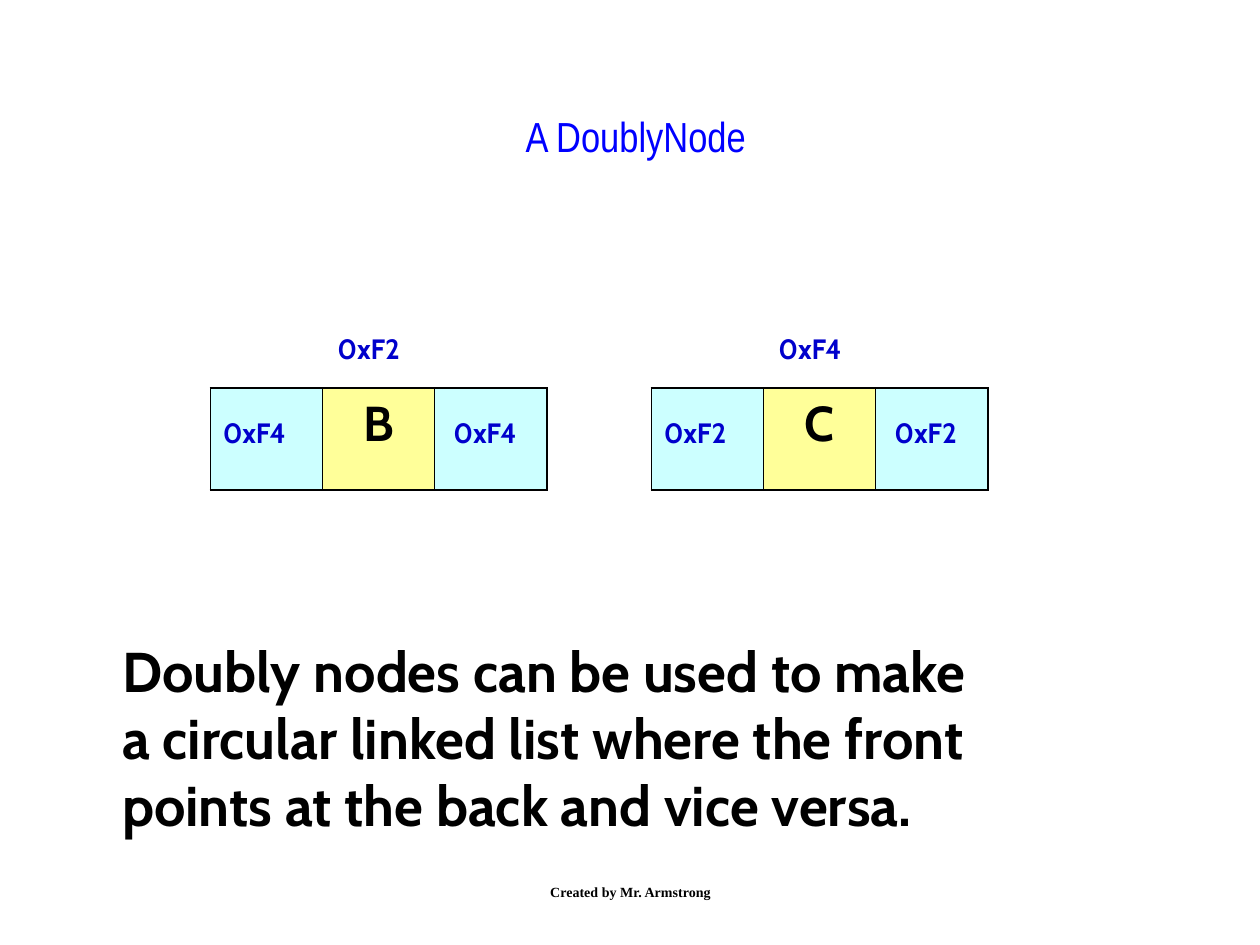
from dataclasses import dataclass

from lxml import etree
from pptx import Presentation
from pptx.dml.color import RGBColor
from pptx.enum.text import MSO_ANCHOR, MSO_AUTO_SIZE, PP_ALIGN
from pptx.oxml.ns import qn
from pptx.util import Inches, Pt

LEFT, CENTER = PP_ALIGN.LEFT, PP_ALIGN.CENTER
TOP, MIDDLE = MSO_ANCHOR.TOP, MSO_ANCHOR.MIDDLE
NO_FIT = MSO_AUTO_SIZE.NONE
TITLE_ONLY = 5


@dataclass(frozen=True)
class Style:
    font: str
    size: float
    color: str
    bold: bool = True


@dataclass(frozen=True)
class Theme:
    title: Style = Style("Arial Narrow", 24, "0000FF", False)
    address: Style = Style("Cabin", 16, "0000CC")
    value: Style = Style("Cabin", 28, "000000")
    body: Style = Style("Cabin", 32, "000000")
    footer: Style = Style("Times New Roman", 8, "000000")
    link_fill: str = "CCFFFF"
    value_fill: str = "FFFF99"
    border: str = "000000"
    outer_line: float = 1.08
    inner_line: float = 0.45


THEME = Theme()


def format_paragraph(p, style, align):
    p.alignment = align
    p.font.name = style.font
    p.font.size = Pt(style.size)
    p.font.bold = style.bold
    p.font.color.rgb = RGBColor.from_string(style.color)


def fill_text(tf, lines, style, align=LEFT, anchor=TOP):
    tf.word_wrap = True
    tf.auto_size = NO_FIT
    tf.vertical_anchor = anchor
    tf.text = "\n".join(lines)
    for p in tf.paragraphs:
        format_paragraph(p, style, align)


def add_text(slide, box, lines, style, **layout):
    sp = slide.shapes.add_textbox(*map(Inches, box))
    fill_text(sp.text_frame, lines, style, **layout)


def set_title(slide, box, text):
    sp = slide.shapes.title
    sp.left, sp.top, sp.width, sp.height = map(Inches, box)
    fill_text(sp.text_frame, [text], THEME.title, align=CENTER)


def set_border(cell, widths):
    tcPr = cell._tc.get_or_add_tcPr()
    for i, (side, width) in enumerate(widths.items()):
        ln = etree.Element(qn(f"a:ln{side}"), w=str(Pt(width)))
        fill = etree.SubElement(ln, qn("a:solidFill"))
        etree.SubElement(fill, qn("a:srgbClr"), val=THEME.border)
        tcPr.insert(i, ln)


def add_node(slide, box, address, value, link):
    left, top, width, height = box
    label_w, label_h = 1.08, 0.37
    table = slide.shapes.add_table(1, 3, *map(Inches, box)).table
    table.first_row = table.horz_banding = False
    fills = (THEME.link_fill, THEME.value_fill, THEME.link_fill)
    outer, inner = THEME.outer_line, THEME.inner_line
    for i, color in enumerate(fills):
        cell = table.cell(0, i)
        cell.fill.solid()
        cell.fill.fore_color.rgb = RGBColor.from_string(color)
        set_border(cell, {"L": outer if i == 0 else inner,
                          "R": outer if i == 2 else inner,
                          "T": outer, "B": outer})
    middle = table.cell(0, 1)
    middle.text = value
    format_paragraph(middle.text_frame.paragraphs[0], THEME.value, CENTER)

    labels = ((0.91, -0.5, address), (0, 0.17, link), (1.83, 0.17, link))
    for dx, dy, text in labels:
        add_text(slide, (left + dx, top + dy, label_w, label_h),
                 [text], THEME.address)


def main():
    prs = Presentation()
    prs.slide_width, prs.slide_height = Inches(10), Inches(7.5)
    slide = prs.slides.add_slide(prs.slide_layouts[TITLE_ONLY])

    set_title(slide, (0.92, 0.83, 8.25, 1.17), "A DoublyNode")
    nodes = ((1.67, "0xF2", "B", "0xF4"), (5.17, "0xF4", "C", "0xF2"))
    for left, address, value, link in nodes:
        add_node(slide, (left, 3.08, 2.67, 0.81), address, value, link)
    add_text(slide, (0.87, 5, 8.21, 1.7),
             ["Doubly nodes can be used to make",
              "a circular linked list where the front",
              "points at the back and vice versa."], THEME.body)
    add_text(slide, (3.42, 6.83, 3.17, 0.5), ["Created by Mr. Armstrong"],
             THEME.footer, align=CENTER, anchor=MIDDLE)
    prs.save("out.pptx")


if __name__ == "__main__":
    main()
